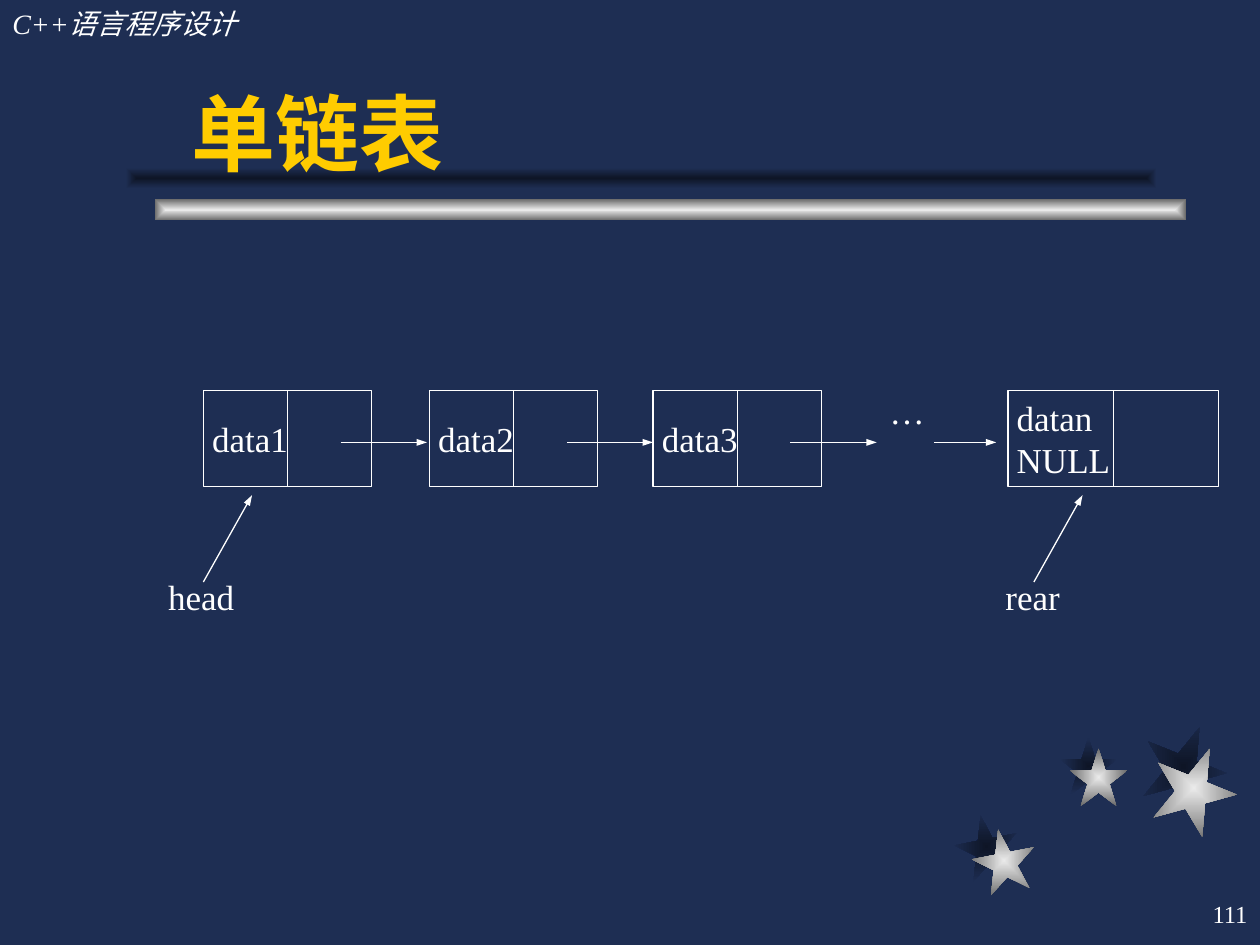
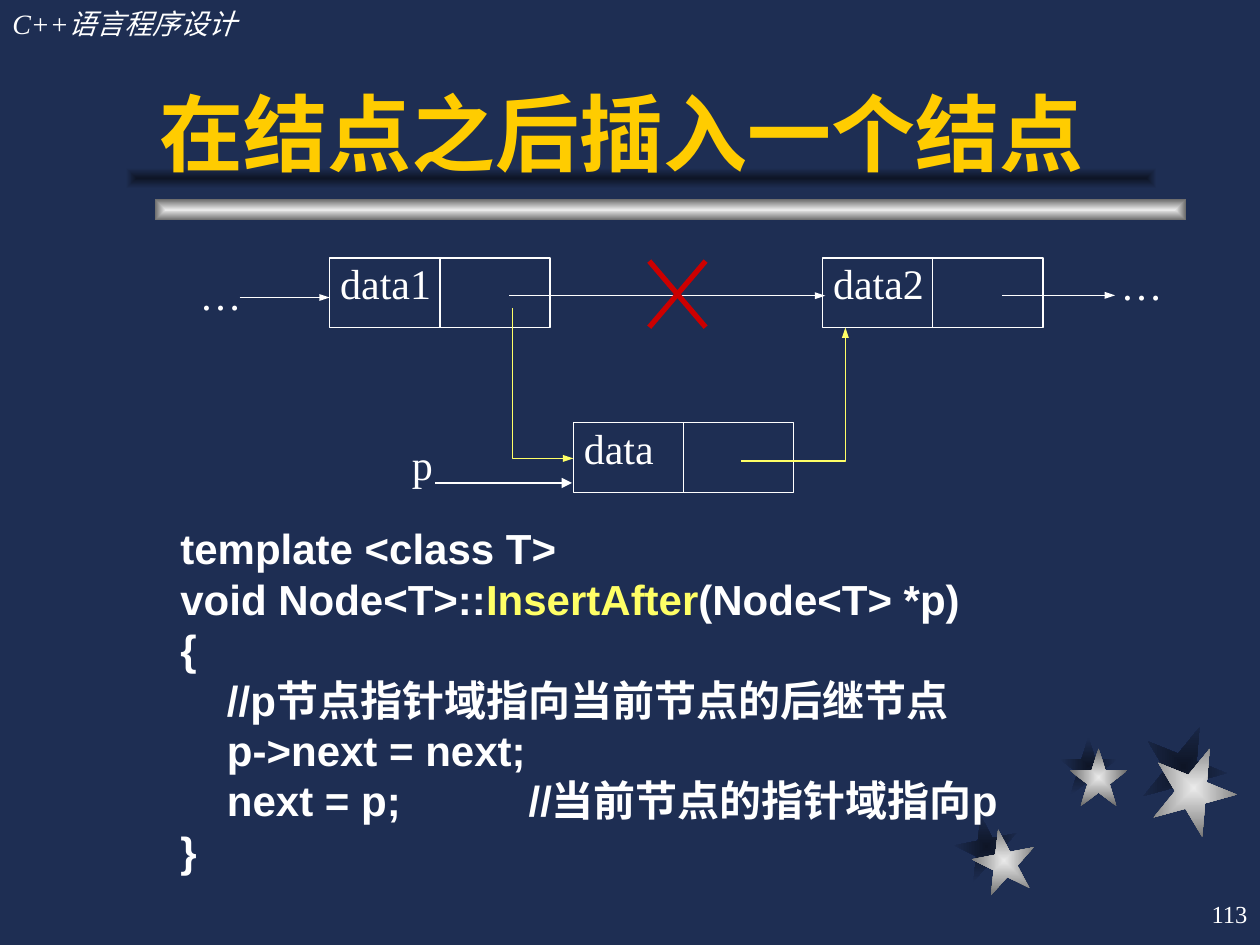
from dataclasses import dataclass

import pptx
import pptx.dml.color
import pptx.enum.shapes
import pptx.enum.text
import pptx.oxml
import pptx.oxml.ns
import pptx.util
from lxml import etree

Pt = pptx.util.Pt
Align = pptx.enum.text.PP_ALIGN
Anchor = pptx.enum.text.MSO_ANCHOR
Shape = pptx.enum.shapes.MSO_SHAPE

# Shared colours and fonts
NAVY, WHITE, GOLD, YELLOW, RED = "1E2E53", "FFFFFF", "FFCC00", "FFFF66", "CC0000"
SILVER_GLOW, DARK_GLOW = ("EAEAEA", "6C6C6C"), ("0E1526", NAVY)
SERIF, SANS = "Times New Roman", "Arial"
INSET = (7.2, 3.6)


@dataclass(frozen=True)
class Star:
    left: float
    top: float
    size: float
    turn: float
    glow: tuple[str, str]


@dataclass(frozen=True)
class Node:
    left: float
    top: float
    width: float
    height: float
    text: str
    size: float
    anchor: Anchor = Anchor.TOP


@dataclass(frozen=True)
class Arrow:
    points: tuple[tuple[float, float], ...]
    color: str = WHITE
    head_width: str = "sm"


@dataclass(frozen=True)
class Label:
    left: float
    top: float
    width: float
    height: float
    text: str


STARS = (
    Star(545.8, 465.8, 36, 349, DARK_GLOW),
    Star(605.5, 421.2, 33, 0, DARK_GLOW),
    Star(652.3, 414, 48.2, 22, DARK_GLOW),
    Star(555.8, 473.8, 36, 349, SILVER_GLOW),
    Star(611.3, 427.7, 33, 0, SILVER_GLOW),
    Star(658.1, 426.2, 48.2, 22, SILVER_GLOW),
)


def rgb(color: str) -> pptx.dml.color.RGBColor:
    return pptx.dml.color.RGBColor.from_string(color)


def write(frame, text, *, size, color=WHITE, font=SERIF, bold=False, italic=False,
          align=Align.LEFT, anchor=Anchor.TOP, inset=(0, 0), tab=None, leading=None,
          accents=()) -> None:
    """Fill a text frame, one paragraph a line; accents are words shown in yellow."""
    frame.word_wrap = True
    frame.auto_size = pptx.enum.text.MSO_AUTO_SIZE.NONE
    frame.vertical_anchor = anchor
    frame.margin_left = frame.margin_right = Pt(inset[0])
    frame.margin_top = frame.margin_bottom = Pt(inset[1])
    for index, line in enumerate(text.split("\n")):
        para = frame.add_paragraph() if index else frame.paragraphs[0]
        if tab and "\t" in line:
            stops = etree.SubElement(para._p.get_or_add_pPr(), pptx.oxml.ns.qn("a:tabLst"))
            etree.SubElement(stops, pptx.oxml.ns.qn("a:tab"), pos=str(Pt(tab)), algn="l")
        para.alignment = align
        if leading:
            para.line_spacing = Pt(leading)
        pieces = [line]
        for accent in accents:
            if accent in line:
                before, after = line.split(accent)
                pieces = [before, accent, after]
        for piece in pieces:
            span = para.add_run()
            span.text = piece
            span.font.name, span.font.size = font, Pt(size)
            span.font.bold, span.font.italic = bold, italic
            span.font.color.rgb = rgb(YELLOW if piece in accents else color)


def add_label(page, label: Label, **style) -> None:
    box = page.shapes.add_textbox(
        Pt(label.left), Pt(label.top), Pt(label.width), Pt(label.height))
    write(box.text_frame, label.text, **style)


def add_glow_shape(page, kind, left, top, width, height, glow, turn=0.0) -> None:
    """Draw a preset shape whose gradient runs from its centre outwards."""
    shape = page.shapes.add_shape(kind, Pt(left), Pt(top), Pt(width), Pt(height))
    shape.rotation = turn
    shape.shadow.inherit = False
    shape.line.fill.background()
    stops = "".join(f'<a:gs pos="{pos}"><a:srgbClr val="{color}"/></a:gs>'
                    for pos, color in zip((0, 100000), glow))
    fill = pptx.oxml.parse_xml(
        f'<a:gradFill {pptx.oxml.ns.nsdecls("a")} rotWithShape="1"><a:gsLst>{stops}</a:gsLst>'
        '<a:path path="rect"><a:fillToRect l="50000" t="50000" r="50000" b="50000"/>'
        '</a:path></a:gradFill>')
    shape.element.spPr.find(pptx.oxml.ns.qn("a:prstGeom")).addnext(fill)


def add_line(page, start, end, color=WHITE, weight=0.75):
    line = page.shapes.add_connector(
        pptx.enum.shapes.MSO_CONNECTOR.STRAIGHT, *(Pt(value) for value in (*start, *end)))
    line.line.color.rgb = rgb(color)
    line.line.width = Pt(weight)
    etree.SubElement(line.element.spPr, pptx.oxml.ns.qn("a:effectLst"))
    return line


def add_arrow(page, arrow: Arrow) -> None:
    """Draw a straight arrow, or a bent one when there are more than two points."""
    first, *rest = arrow.points
    if len(rest) == 1:
        shape = add_line(page, first, rest[0], arrow.color)
    else:
        builder = page.shapes.build_freeform(Pt(first[0]), Pt(first[1]))
        builder.add_line_segments([(Pt(x), Pt(y)) for x, y in rest], close=False)
        shape = builder.convert_to_shape()
        shape.shadow.inherit = False
        shape.fill.background()
        shape.line.color.rgb = rgb(arrow.color)
        shape.line.width = Pt(0.75)
    etree.SubElement(shape.line._get_or_add_ln(), pptx.oxml.ns.qn("a:tailEnd"),
                     type="triangle", w=arrow.head_width, len="med")


def add_node(page, node: Node) -> None:
    """Draw a list node: a box halved into data and pointer."""
    box = page.shapes.add_shape(
        Shape.RECTANGLE, Pt(node.left), Pt(node.top), Pt(node.width), Pt(node.height))
    box.shadow.inherit = False
    box.fill.background()
    box.line.color.rgb = rgb(WHITE)
    box.line.width = Pt(0.75)
    indent = node.size / 4
    write(box.text_frame, node.text, size=node.size, anchor=node.anchor,
          inset=(indent, 0), tab=node.width / 2 - indent + 3.5)
    middle = node.left + node.width / 2
    add_line(page, (middle, node.top), (middle, node.top + node.height))


def add_page(deck, title: str, number: int, left: float, width: float):
    """Add a page with stars, bands, header, page number and title."""
    page = deck.slides.add_slide(deck.slide_layouts.get_by_name("Title Only"))
    for star in STARS:
        add_glow_shape(page, Shape.STAR_5_POINT, star.left, star.top, star.size, star.size,
                       star.glow, star.turn)
    add_glow_shape(page, Shape.RECTANGLE, 88.6, 113.9, 589, 12, SILVER_GLOW)
    add_glow_shape(page, Shape.RECTANGLE, 72, 95.8, 589, 12, DARK_GLOW)
    add_label(page, Label(0, 0, 222, 26.6, "C++语言程序设计"), size=16, italic=True, inset=INSET)
    add_label(page, Label(570, 504, 150, 36, str(number)), size=14, align=Align.RIGHT,
              anchor=Anchor.MIDDLE, inset=INSET)
    heading = page.shapes.title
    heading.left, heading.top, heading.width, heading.height = (
        Pt(value) for value in (left, 18, width, 90))
    write(heading.text_frame, title, size=48, color=GOLD, font=SANS, bold=True,
          anchor=Anchor.BOTTOM, inset=INSET)
    heading.element.getparent().append(heading.element)  # in front of the bands
    return page


def build_list_page(deck) -> None:
    page = add_page(deck, "单链表", 111, 102, 564)
    # Nodes and the arrows that leave them
    top, height, link = 223.2, 54.8, 252.8
    for index, left in enumerate((116.2, 245.4, 373.2), start=1):
        add_node(page, Node(left, top, 96.2, height, f"data{index}", 20, Anchor.MIDDLE))
        add_arrow(page, Arrow(((left + 78.5, link), (left + 127.8, link))))
    add_node(page, Node(576, top, 120.3, height, "datan\tNULL", 20, Anchor.MIDDLE))
    add_label(page, Label(491.8, 219, 53.3, 59, "…"), size=20, align=Align.CENTER, inset=INSET)
    add_arrow(page, Arrow(((534, link), (569.3, link))))
    # Pointers to both ends
    for text, left, tail in (("head", 96, 116.2), ("rear", 574.5, 590.8)):
        add_label(page, Label(left, 329, 63.4, 43.2, text), size=20)
        add_arrow(page, Arrow(((tail, 332.6), (tail + 27.8, 283))))


def build_insert_page(deck) -> None:
    page = add_page(deck, "在结点之后插入一个结点", 113, 84, 600)
    # Nodes
    for text, left, top in (("data1", 188.4, 147.4), ("data2", 470, 147.4),
                            ("data", 327.6, 241.6)):
        add_node(page, Node(left, top, 126, 39.8, text, 24))
    # Old links in white, new links in yellow
    for arrow in (
        Arrow(((137, 170), (188.4, 170))),
        Arrow(((291, 169), (471.6, 169))),
        Arrow(((572.6, 168.8), (637.2, 168.8))),
        Arrow(((248.6, 276), (326.9, 276)), head_width="med"),
        Arrow(((423.4, 263.4), (483.1, 263.4), (483.1, 187.2)), YELLOW),
        Arrow(((293, 176), (293, 262), (327.6, 262)), YELLOW),
    ):
        add_arrow(page, arrow)
    # Cross over the removed link
    for start, end in ((403.2, 371), (371, 403.2)):
        add_line(page, (start, 149.2), (end, 187), RED, 3)
    # Labels
    add_label(page, Label(617.8, 144, 69, 43.2, "…"), size=24, align=Align.CENTER, inset=INSET)
    add_label(page, Label(102, 153.4, 48.2, 31, "…"), size=24, align=Align.CENTER)
    add_label(page, Label(235.4, 250.6, 64, 31.7, "p"), size=24, inset=(0, 0)) 
    # Code
    code = ("template <class T>\n"
            "void Node<T>::InsertAfter(Node<T> *p)\n"
            "{\n"
            "    //p节点指针域指向当前节点的后继节点\n"
            "    p->next = next;\n"
            "    next = p;\t//当前节点的指针域指向p\n"
            "}")
    add_label(page, Label(96, 295.2, 588, 209, code), size=24, font=SANS, bold=True,
              inset=INSET, tab=199, leading=28.8, accents=("InsertAfter",))


def main() -> None:
    deck = pptx.Presentation()
    deck.slide_width, deck.slide_height = Pt(720), Pt(540)
    background = deck.slide_master.background.fill
    background.solid()
    background.fore_color.rgb = rgb(NAVY)
    build_list_page(deck)
    build_insert_page(deck)
    deck.save("out.pptx")


if __name__ == "__main__":
    main()
